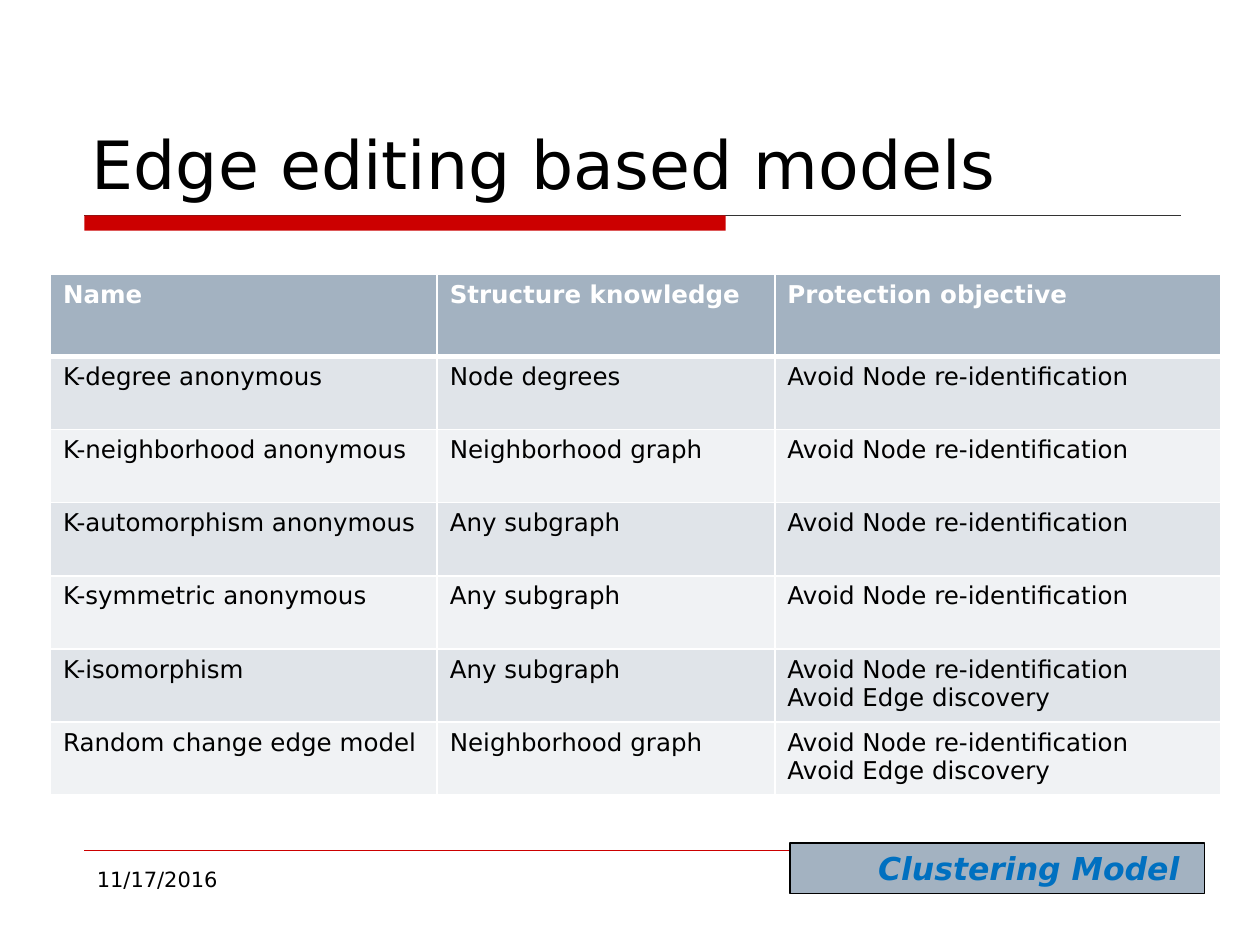
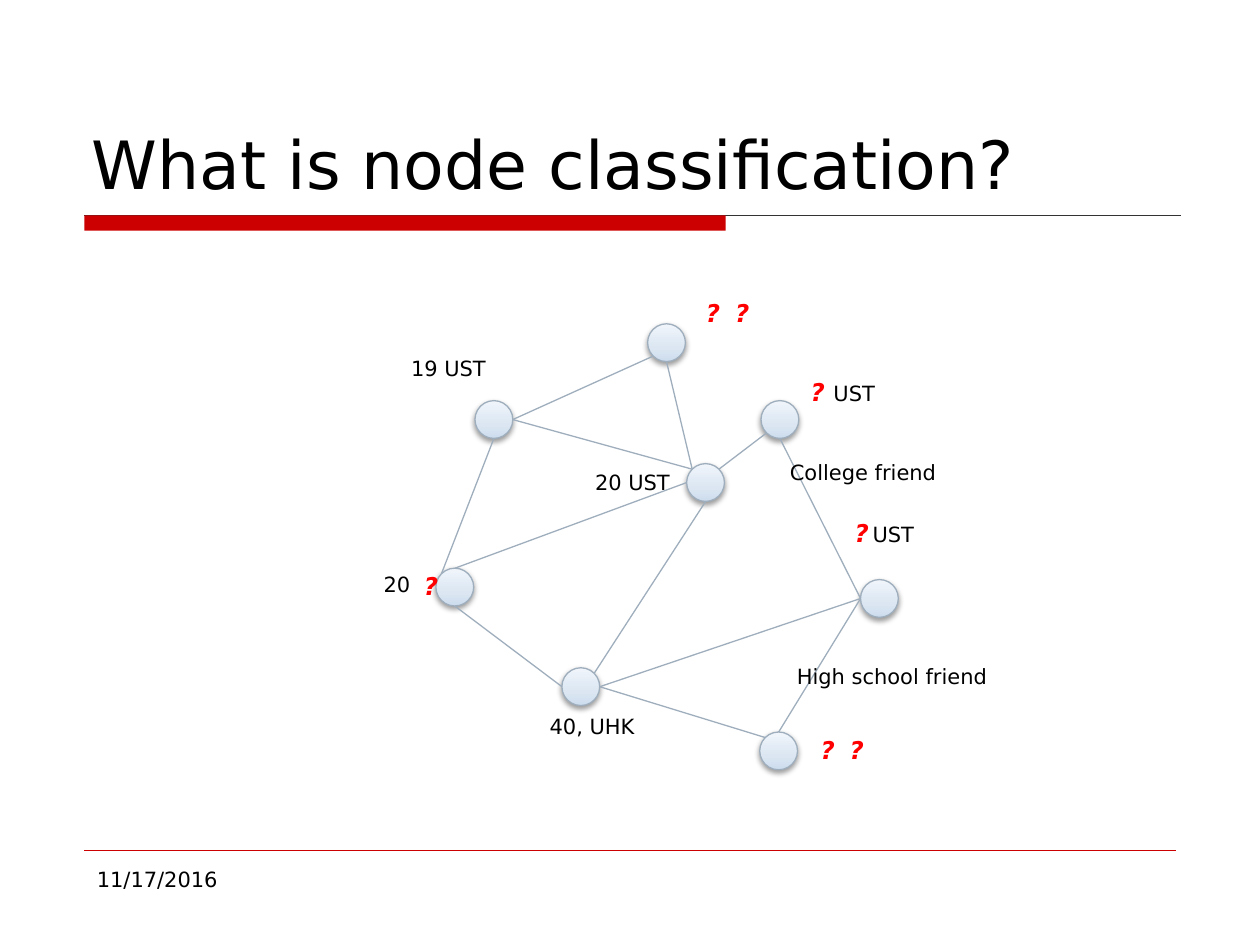
import math
from dataclasses import dataclass

import lxml.etree
import pptx
import pptx.dml.color
import pptx.enum.shapes
import pptx.enum.text
import pptx.oxml
import pptx.oxml.ns
import pptx.util

Inches, Pt = pptx.util.Inches, pptx.util.Pt
SHAPE = pptx.enum.shapes.MSO_SHAPE
ALIGN = pptx.enum.text.PP_ALIGN
ANCHOR = pptx.enum.text.MSO_ANCHOR
qn = pptx.oxml.ns.qn


@dataclass(frozen=True)
class Theme:
    font: str = "DejaVu Sans"
    black: str = "000000"
    white: str = "FFFFFF"
    red: str = "CC0000"
    unknown: str = "FF0000"
    rule: str = "333333"
    slate: str = "A3B2C1"
    rows: tuple = ("E0E4E9", "F0F2F4")
    edge: str = "9FAEBD"
    node_fill: tuple = ((0, "CCDCEE"), (35, "DBE6F2"), (100, "F0F5FB"))
    accent: str = "0070C0"
    title_size: int = 38
    tag_size: int = 18
    cell_size: int = 14
    label_size: int = 12


T = Theme()

DATE = "11/17/2016"

MODELS_TITLE = "Edge editing based models"
MODELS_TAG = "Clustering Model"
NODE_GOAL, EDGE_GOAL = "Avoid Node re-identification", "Avoid Edge discovery"
MODELS = [
    ("Name", "Structure knowledge", ["Protection objective"]),
    ("K-degree anonymous", "Node degrees", [NODE_GOAL]),
    ("K-neighborhood anonymous", "Neighborhood graph", [NODE_GOAL]),
    ("K-automorphism anonymous", "Any subgraph", [NODE_GOAL]),
    ("K-symmetric anonymous", "Any subgraph", [NODE_GOAL]),
    ("K-isomorphism", "Any subgraph", [NODE_GOAL, EDGE_GOAL]),
    ("Random change edge model", "Neighborhood graph", [NODE_GOAL, EDGE_GOAL]),
]
COLUMN_WIDTHS = (3.07, 2.68, 3.54)
HEADER_HEIGHT, ROW_HEIGHT = 0.65, 0.58

GRAPH_TITLE = "What is node classification?"
NODE_SIZE = 0.3
# Node centres
NODES = {
    "right": (6.19, 3.33),
    "top": (5.29, 2.72),
    "upper left": (3.92, 3.33),
    "lower left": (3.61, 4.66),
    "hub": (5.6, 3.83),
    "far right": (6.98, 4.75),
    "bottom": (4.61, 5.45),
    "bottom right": (6.18, 5.96),
}
# Compass points of a node, in degrees clockwise from east
SIDES = {"E": 0, "SE": 45, "S": 90, "SW": 135, "W": 180, "NW": 225, "N": 270, "NE": 315}
EDGES = [
    ("upper left", "E", "top", "SW"),
    ("right", "SW", "hub", "NE"),
    ("upper left", "E", "hub", "NW"),
    ("top", "S", "hub", "NW"),
    ("bottom", "E", "bottom right", "NW"),
    ("hub", "S", "bottom", "NE"),
    ("bottom right", "N", "far right", "W"),
    ("right", "S", "far right", "W"),
    ("bottom", "W", "lower left", "S"),
    ("bottom", "E", "far right", "W"),
    ("lower left", "N", "hub", "W"),
    ("upper left", "S", "lower left", "NW"),
]
# Text and centre
LABELS = [
    ("40, UHK", 4.7, 5.76),
    ("19 UST", 3.56, 2.92),
    ("20 UST", 5.02, 3.83),
    ("UST", 7.09, 4.24),
    ("20", 3.15, 4.64),
    ("College friend", 6.85, 3.75),
    ("High school friend", 7.08, 5.37),
    ("UST", 6.78, 3.12),
]
QUESTION_MARKS = [
    (3.42, 4.65), (5.66, 2.48), (6.49, 3.11), (5.89, 2.48),
    (6.84, 4.23), (6.57, 5.95), (6.8, 5.95),
]


def rgb(color):
    return pptx.dml.color.RGBColor.from_string(color)


def write(tf, lines, size, color, bold=False, italic=False, align=ALIGN.LEFT):
    for i, line in enumerate(lines):
        p = tf.add_paragraph() if i else tf.paragraphs[0]
        p.alignment = align
        r = p.add_run()
        r.text = line
        r.font.name, r.font.size = T.font, Pt(size)
        r.font.bold, r.font.italic = bold, italic
        r.font.color.rgb = rgb(color)


def add_text(s, box, text, size, color=T.black, anchor=ANCHOR.TOP, **style):
    tf = s.shapes.add_textbox(*map(Inches, box)).text_frame
    tf.word_wrap = True
    tf.vertical_anchor = anchor
    write(tf, [text], size, color, **style)
    return tf


def add_label(s, text, cx, cy, size, **style):
    """Centre a line of text on a point."""
    w, h = 2, 0.3
    add_text(s, (cx - w / 2, cy - h / 2, w, h), text, size,
             anchor=ANCHOR.MIDDLE, align=ALIGN.CENTER, **style)


def add_shape(s, kind, box, line):
    sp = s.shapes.add_shape(kind, *map(Inches, box))
    sp.shadow.inherit = False
    sp.line.color.rgb = rgb(line)
    sp.line.width = Pt(0.75)
    return sp


def add_line(s, start, end, color, width):
    c = s.shapes.add_connector(pptx.enum.shapes.MSO_CONNECTOR.STRAIGHT,
                               *map(Inches, (*start, *end)))
    c.line.color.rgb = rgb(color)
    c.line.width = Pt(width)
    lxml.etree.SubElement(c._element.spPr, qn("a:effectLst"))


def add_slide(prs, title):
    """Add a slide with the shared title, red band, footer rule and date."""
    s = prs.slides.add_slide(prs.slide_layouts[6])
    add_line(s, (0.67, 1.71), (9.37, 1.71), T.rule, 0.75)
    band = s.shapes.add_shape(SHAPE.RECTANGLE, *map(Inches, (0.67, 1.71, 5.09, 0.12)))
    band.shadow.inherit = False
    band.fill.solid()
    band.fill.fore_color.rgb = rgb(T.red)
    band.line.fill.background()
    add_line(s, (0.67, 6.75), (9.33, 6.75), T.red, 0.25)
    add_text(s, (0.63, 0.33, 8.75, 1.33), title, T.title_size, anchor=ANCHOR.BOTTOM)
    add_text(s, (0.67, 6.83, 2.17, 0.52), DATE, T.label_size)
    return s


def set_borders(cell, top, bottom):
    tc_pr = cell._tc.get_or_add_tcPr()
    widths = {"lnL": 1, "lnR": 1, "lnT": top, "lnB": bottom}
    for i, (side, width) in enumerate(widths.items()):
        ln = lxml.etree.Element(qn(f"a:{side}"), w=str(Pt(width)))
        fill = lxml.etree.SubElement(ln, qn("a:solidFill"))
        lxml.etree.SubElement(fill, qn("a:srgbClr"), val=T.white)
        tc_pr.insert(i, ln)


def add_models_table(s):
    heights = [HEADER_HEIGHT] + [ROW_HEIGHT] * (len(MODELS) - 1)
    box = (0.4, 2.18, sum(COLUMN_WIDTHS), sum(heights))
    table = s.shapes.add_table(len(MODELS), len(COLUMN_WIDTHS), *map(Inches, box)).table
    for column, width in zip(table.columns, COLUMN_WIDTHS):
        column.width = Inches(width)
    for i, (name, knowledge, goals) in enumerate(MODELS):
        header = i == 0
        table.rows[i].height = Inches(heights[i])
        for j, lines in enumerate(([name], [knowledge], goals)):
            cell = table.cell(i, j)
            cell.fill.solid()
            cell.fill.fore_color.rgb = rgb(T.slate if header else T.rows[(i - 1) % 2])
            set_borders(cell, top=3 if i == 1 else 1, bottom=3 if header else 1)
            write(cell.text_frame, lines, T.cell_size,
                  T.white if header else T.black, bold=header)


def add_tag(s):
    sp = add_shape(s, SHAPE.RECTANGLE, (6.27, 6.69, 3.29, 0.4), T.black)
    sp.fill.solid()
    sp.fill.fore_color.rgb = rgb(T.slate)
    tf = sp.text_frame
    tf.vertical_anchor = ANCHOR.MIDDLE
    write(tf, [MODELS_TAG], T.tag_size, T.accent, True, True, ALIGN.CENTER)
    p_pr = tf.paragraphs[0]._p.get_or_add_pPr()
    p_pr.set("marL", str(Inches(1)))
    p_pr.set("indent", str(Inches(-0.5)))


def add_node(s, cx, cy):
    half = NODE_SIZE / 2
    sp = add_shape(s, SHAPE.OVAL, (cx - half, cy - half, NODE_SIZE, NODE_SIZE), T.edge)
    stops = "".join(f'<a:gs pos="{pos * 1000}"><a:srgbClr val="{color}"/></a:gs>'
                    for pos, color in T.node_fill)
    ns = pptx.oxml.ns.nsdecls("a")
    sp_pr = sp._element.spPr
    sp_pr.find(qn("a:prstGeom")).addnext(pptx.oxml.parse_xml(
        f'<a:gradFill {ns} rotWithShape="1"><a:gsLst>{stops}</a:gsLst>'
        '<a:lin ang="16200000" scaled="0"/></a:gradFill>'))
    sp_pr.find(qn("a:effectLst")).append(pptx.oxml.parse_xml(
        f'<a:outerShdw {ns} blurRad="{Pt(3.1)}" dist="{Pt(1.6)}" dir="5400000" '
        f'rotWithShape="0"><a:srgbClr val="{T.black}"><a:alpha val="38000"/>'
        '</a:srgbClr></a:outerShdw>'))


def rim_point(node, side):
    cx, cy = NODES[node]
    angle = math.radians(SIDES[side])
    radius = NODE_SIZE / 2
    return cx + radius * math.cos(angle), cy + radius * math.sin(angle)


def build_models(prs):
    s = add_slide(prs, MODELS_TITLE)
    add_models_table(s)
    add_tag(s)


def build_graph(prs):
    s = add_slide(prs, GRAPH_TITLE)
    for center in NODES.values():
        add_node(s, *center)
    for a, a_side, b, b_side in EDGES:
        add_line(s, rim_point(a, a_side), rim_point(b, b_side), T.edge, 0.75)
    for text, cx, cy in LABELS:
        add_label(s, text, cx, cy, T.label_size)
    for cx, cy in QUESTION_MARKS:
        add_label(s, "?", cx, cy, T.cell_size, color=T.unknown, bold=True, italic=True)


def main():
    prs = pptx.Presentation()
    prs.slide_width, prs.slide_height = Inches(10), Inches(7.5)
    build_models(prs)
    build_graph(prs)
    prs.save("out.pptx")


if __name__ == "__main__":
    main()
